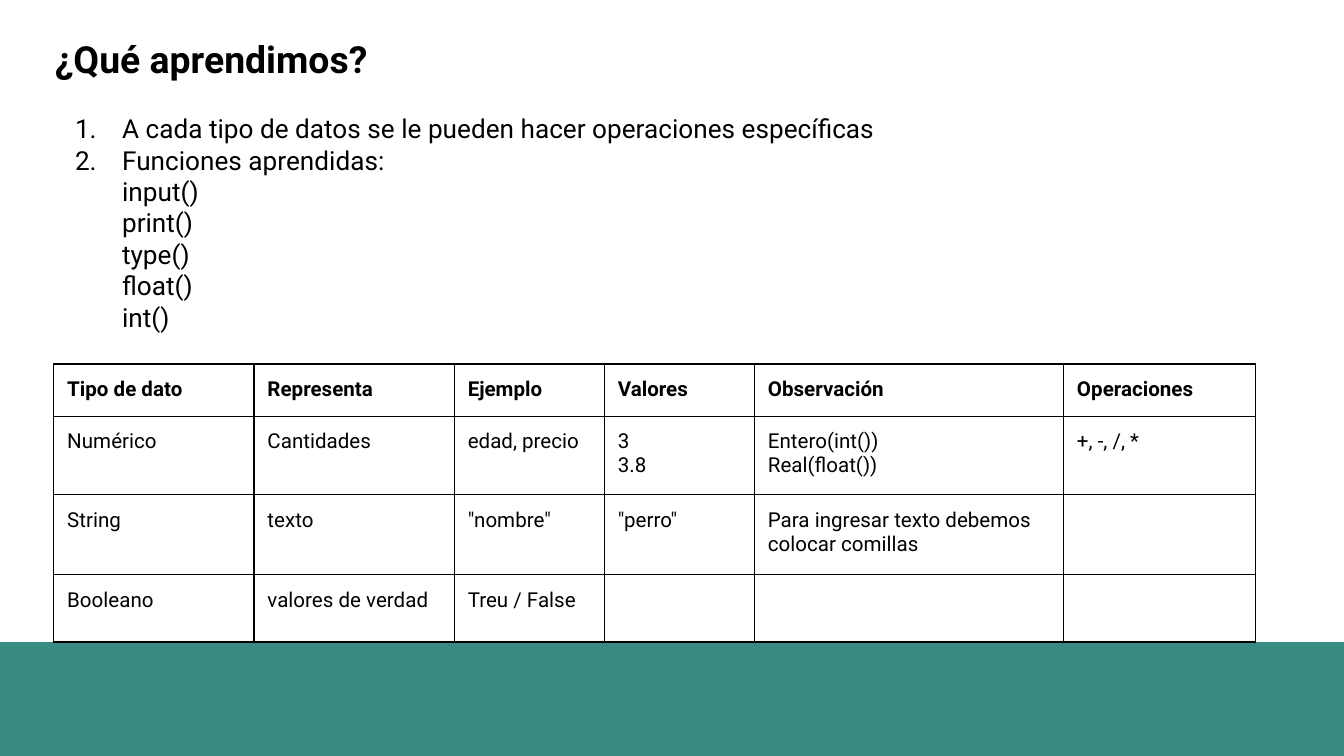
"""Build a lesson recap slide with a numbered list and a table of data types."""
import pptx
import pptx.dml.color
import pptx.enum.shapes
import pptx.oxml
import pptx.oxml.ns
import pptx.util
from lxml import etree

Pt = pptx.util.Pt
FONT = "Roboto"
COLORS = {"text": "000000", "band": "388B82", "border": "000000"}
INSET = Pt(7.2)
INDENT = Pt(36)
HANGING = Pt(-25.2)

NUMBERED = [
    "A cada tipo de datos se le pueden hacer operaciones específicas",
    "Funciones aprendidas:",
]
FUNCTIONS = ["input()", "print()", "type()", "float()", "int()"]
COLUMN_WIDTHS = [107.3, 107.3, 80.4, 80.4, 165.6, 103]
ROW_HEIGHTS = [28, 42, 43, 36]
ROWS = [
    ["Tipo de dato", "Representa", "Ejemplo", "Valores", "Observación", "Operaciones"],
    ["Numérico", "Cantidades", "edad, precio", "3\n3.8",
     "Entero(int())\nReal(float())", "+, -, /, *"],
    ["String", "texto", '"nombre"', '"perro"',
     "Para ingresar texto debemos colocar comillas", ""],
    ["Booleano", "valores de verdad", "Treu / False", "", "", ""],
]


def color(name):
    return pptx.dml.color.RGBColor.from_string(COLORS[name])


def add_element(parent, tag, **attributes):
    return etree.SubElement(parent, pptx.oxml.ns.qn(tag), attributes)


def add_span(para, text, size, bold=False):
    span = para.add_run()
    span.text = text
    span.font.name = FONT
    span.font.size = Pt(size)
    span.font.bold = bold
    span.font.color.rgb = color("text")


def set_insets(target):
    target.margin_left = target.margin_right = INSET
    target.margin_top = target.margin_bottom = INSET


def add_list_item(frame, text, numbered):
    para = frame.add_paragraph()
    add_span(para, text, 14)
    properties = para._p.get_or_add_pPr()
    properties.set("marL", str(INDENT))
    properties.set("indent", str(HANGING if numbered else 0))
    if numbered:
        bullet_color = add_element(properties, "a:buClr")
        add_element(bullet_color, "a:srgbClr", val=COLORS["text"])
        add_element(properties, "a:buFont", typeface=FONT)
        add_element(properties, "a:buAutoNum", type="arabicPeriod")
    else:
        add_element(properties, "a:buNone")


def add_band(page):
    band = page.shapes.add_shape(
        pptx.enum.shapes.MSO_SHAPE.RECTANGLE, Pt(0), Pt(344), Pt(720), Pt(61))
    band.shadow.inherit = False
    band.fill.solid()
    band.fill.fore_color.rgb = color("band")
    band.line.fill.background()


def add_summary(page):
    box = page.shapes.add_textbox(Pt(22.3), Pt(12.2), Pt(618.5), Pt(191.5))
    frame = box.text_frame
    frame.word_wrap = True
    set_insets(frame)
    title = frame.paragraphs[0]
    title.space_after = Pt(17)
    add_span(title, "¿Qué aprendimos?", 20, bold=True)
    for text in NUMBERED:
        add_list_item(frame, text, numbered=True)
    for text in FUNCTIONS:
        add_list_item(frame, text, numbered=False)


def add_borders(cell):
    properties = cell._tc.get_or_add_tcPr()
    for position, side in enumerate(("a:lnL", "a:lnR", "a:lnT", "a:lnB")):
        line = pptx.oxml.ns.qn(side)
        border = etree.Element(line, w=str(Pt(0.75)))
        add_element(add_element(border, "a:solidFill"), "a:srgbClr", val=COLORS["border"])
        properties.insert(position, border)


def fill_cell(cell, text, bold):
    set_insets(cell)
    cell.fill.background()
    add_borders(cell)
    if not text:
        return
    frame = cell.text_frame
    for index, line in enumerate(text.split("\n")):
        para = frame.add_paragraph() if index else frame.paragraphs[0]
        add_span(para, line, 11, bold)


def add_type_table(page):
    holder = page.shapes.add_table(
        len(ROWS), len(COLUMN_WIDTHS), Pt(28.8), Pt(195),
        Pt(sum(COLUMN_WIDTHS)), Pt(sum(ROW_HEIGHTS)))
    table = holder.table
    table.first_row = False
    table.horz_banding = False
    for column, width in zip(table.columns, COLUMN_WIDTHS):
        column.width = Pt(width)
    for row, height in zip(table.rows, ROW_HEIGHTS):
        row.height = Pt(height)
    for row_index, texts in enumerate(ROWS):
        for column_index, text in enumerate(texts):
            fill_cell(table.cell(row_index, column_index), text, bold=row_index == 0)


def main():
    deck = pptx.Presentation()
    deck.slide_width = Pt(720)
    deck.slide_height = Pt(405)
    page = deck.slides.add_slide(deck.slide_layouts[6])
    add_band(page)
    add_summary(page)
    add_type_table(page)
    deck.save("out.pptx")


if __name__ == "__main__":
    main()
